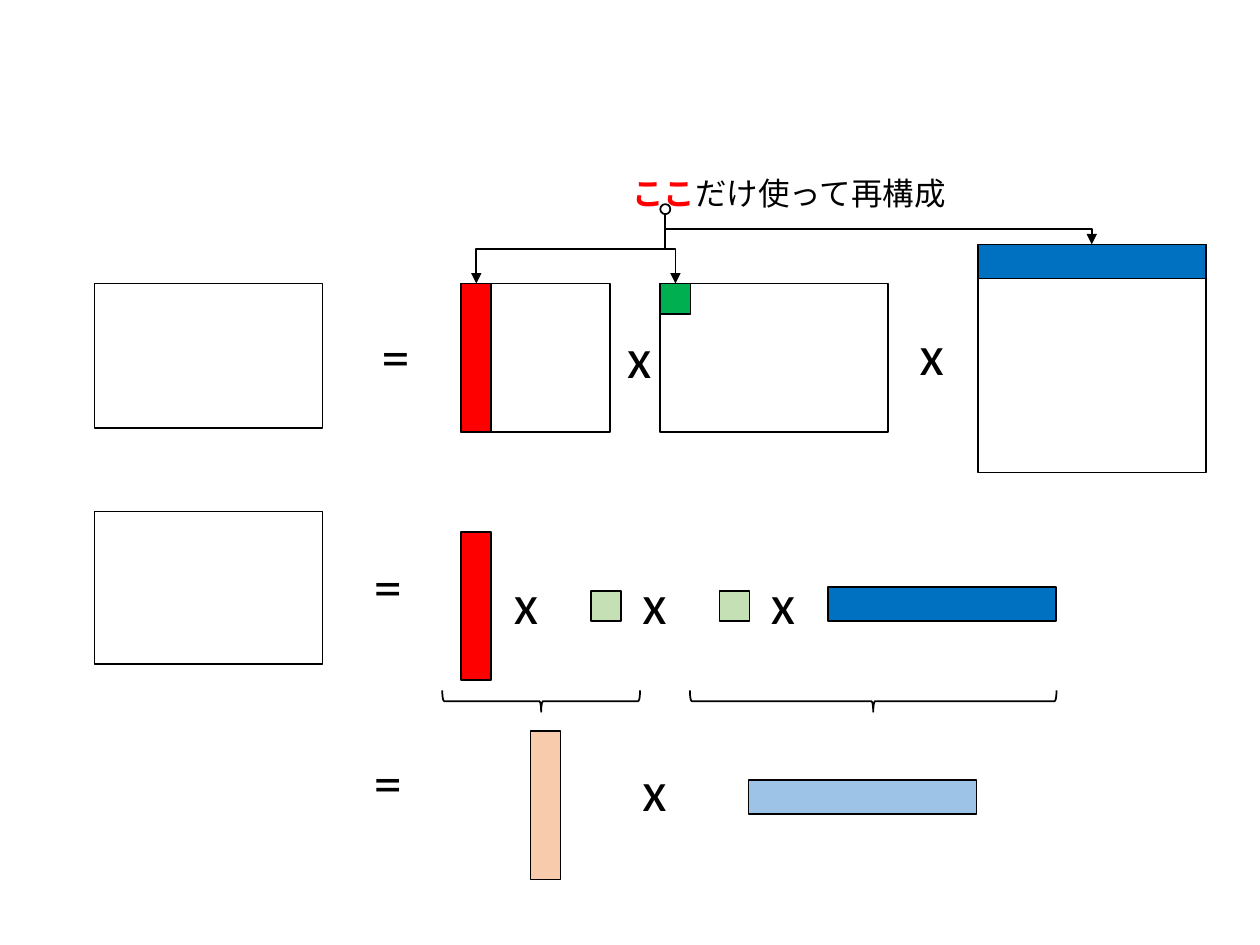
from dataclasses import dataclass

from lxml import etree
from pptx import Presentation
from pptx.dml.color import RGBColor
from pptx.enum import shapes, text
from pptx.oxml.ns import qn
from pptx.util import Emu, Inches, Pt

COLUMNS, ROWS = 100, 75
CELL = Inches(0.1)
FONT, BLACK, RED, GREEN, BLUE = "Calibri", "000000", "FF0000", "00B050", "0070C0"
PALE_GREEN, PALE_RED, PALE_BLUE = "C5E0B4", "F8CBAD", "9DC3E6"
RANK, SIDE, LONG, BAND = 2.4, 11.8, 18.1, 2.7
LEFT, FACTOR, CORE, RIGHT, TOP, RIGHT_TOP = 7.5, 36.6, 52.4, 77.6, 22.5, 19.4


@dataclass(frozen=True)
class Block:
    column: float
    row: float
    width: float
    height: float
    fill: str | None = None
    kind: int = shapes.MSO_SHAPE.RECTANGLE
    rotation: float = 0


@dataclass(frozen=True)
class Span:
    words: str
    colour: str = BLACK
    bold: bool = False


@dataclass(frozen=True)
class Label:
    column: float
    row: float
    width: float
    height: float
    spans: tuple[Span, ...]
    size: float
    wrap: bool = False


@dataclass(frozen=True)
class Arrow:
    start: tuple[float, float]
    end: tuple[float, float]


def cells(count: float) -> Emu:
    """Turn a number of grid cells into a length."""
    return Emu(round(count * CELL))


def colour(value: str) -> RGBColor:
    """Turn a hex string into a colour."""
    return RGBColor.from_string(value)


def draw_block(page, block: Block) -> None:
    """Draw an outlined block of a matrix, a ring or a brace."""
    shape = page.shapes.add_shape(
        block.kind, cells(block.column), cells(block.row), cells(block.width), cells(block.height))
    shape.shadow.inherit = False
    shape.rotation = block.rotation
    if block.fill:
        shape.fill.solid()
        shape.fill.fore_color.rgb = colour(block.fill)
    else:
        shape.fill.background()
    shape.line.color.rgb = colour(BLACK)
    shape.line.width = Pt(1)


def draw_label(page, label: Label) -> None:
    """Draw a text box made of coloured spans."""
    box = page.shapes.add_textbox(
        cells(label.column), cells(label.row), cells(label.width), cells(label.height))
    frame = box.text_frame
    frame.word_wrap = label.wrap
    frame.auto_size = text.MSO_AUTO_SIZE.SHAPE_TO_FIT_TEXT
    paragraph = frame.paragraphs[0]
    for part in label.spans:
        span = paragraph.add_run()
        span.text = part.words
        span.font.name = FONT
        span.font.size = Pt(label.size)
        span.font.bold = part.bold
        span.font.color.rgb = colour(part.colour)


def draw_arrow(page, arrow: Arrow) -> None:
    """Draw an elbow arrow that leaves and arrives vertically."""
    (x1, y1), (x2, y2) = arrow.start, arrow.end
    middle_x, middle_y = (x1 + x2) / 2, (y1 + y2) / 2
    half_width, half_height = (y2 - y1) / 2, abs(x2 - x1) / 2
    side = 1 if x2 > x1 else -1
    connector = page.shapes.add_connector(
        shapes.MSO_CONNECTOR.ELBOW,
        cells(middle_x + side * half_width), cells(middle_y - half_height),
        cells(middle_x - side * half_width), cells(middle_y + half_height))
    connector.line.color.rgb = colour(BLACK)
    connector.line.width = Pt(1)
    properties = connector.element.spPr
    quarter_turns = 3 if side > 0 else 1
    properties.find(qn("a:xfrm")).set("rot", str(quarter_turns * 90 * 60000))
    etree.SubElement(properties.find(qn("a:ln")), qn("a:tailEnd"), type="triangle")
    etree.SubElement(properties, qn("a:effectLst"))


def sign(column: float, row: float, symbol: str, width: float = 4, wrap: bool = False) -> Label:
    """Describe an operator between two matrices."""
    return Label(column, row, width, 6.4, (Span(symbol),), 32, wrap)


def brace(column: float, row: float, width: float) -> Block:
    """Describe a brace that opens upwards, by the place it takes on the page."""
    depth = 1.7
    return Block(column + (width - depth) / 2, row - (width - depth) / 2, depth, width,
                 kind=shapes.MSO_SHAPE.RIGHT_BRACE, rotation=90)


RING = Block(CORE, 16.2, 0.8, 0.8, kind=shapes.MSO_SHAPE.OVAL)
BLOCKS = (
    Block(FACTOR, TOP, RANK, SIDE, RED),
    Block(LEFT, TOP, LONG, 11.5),
    Block(FACTOR, TOP, SIDE, SIDE),
    Block(CORE, TOP, LONG, SIDE),
    Block(RIGHT, RIGHT_TOP, LONG, LONG),
    Block(LEFT, 40.6, LONG, 12.1),
    Block(RIGHT, RIGHT_TOP, LONG, BAND, BLUE),
    Block(CORE, TOP, RANK, RANK, GREEN),
    Block(FACTOR, 42.2, RANK, SIDE, RED),
    Block(46.9, 46.9, RANK, RANK, PALE_GREEN),
    Block(57.1, 46.9, RANK, RANK, PALE_GREEN),
    Block(65.7, 46.6, LONG, BAND, BLUE),
    Block(42.1, 58, RANK, SIDE, PALE_RED),
    Block(59.4, 61.9, LONG, BAND, PALE_BLUE),
    brace(35.1, 54.8, 15.7),
    brace(54.75, 54.8, 29.1),
)
LABELS = (
    sign(29.3, 25, "=", 4.3),
    sign(48.8, 25.1, "x"),
    sign(72, 24.9, "x", 4.5, True),
    sign(28.7, 43.3, "=", 4.3),
    *(sign(39.8 + 10.2 * step, 44.6, "x") for step in range(3)),
    sign(28.7, 58.8, "=", 4.3),
    sign(50, 59.5, "x"),
    Label(49.2, 13.3, 27.3, 4, (Span("ここ", RED, True), Span("だけ使って再構成")), 18),
)
SOURCE = (RING.column + RING.width / 2, RING.row + RING.height)
ARROWS = (
    Arrow(SOURCE, (FACTOR + RANK / 2, TOP)),
    Arrow(SOURCE, (CORE + RANK / 2, TOP)),
    Arrow(SOURCE, (RIGHT + LONG / 2, RIGHT_TOP)),
)


def main() -> None:
    """Build the deck and save it."""
    deck = Presentation()
    deck.slide_width, deck.slide_height = cells(COLUMNS), cells(ROWS)
    page = deck.slides.add_slide(deck.slide_layouts[6])
    for block in BLOCKS:
        draw_block(page, block)
    for label in LABELS:
        draw_label(page, label)
    draw_block(page, RING)
    for arrow in ARROWS:
        draw_arrow(page, arrow)
    deck.save("out.pptx")


if __name__ == "__main__":
    main()
